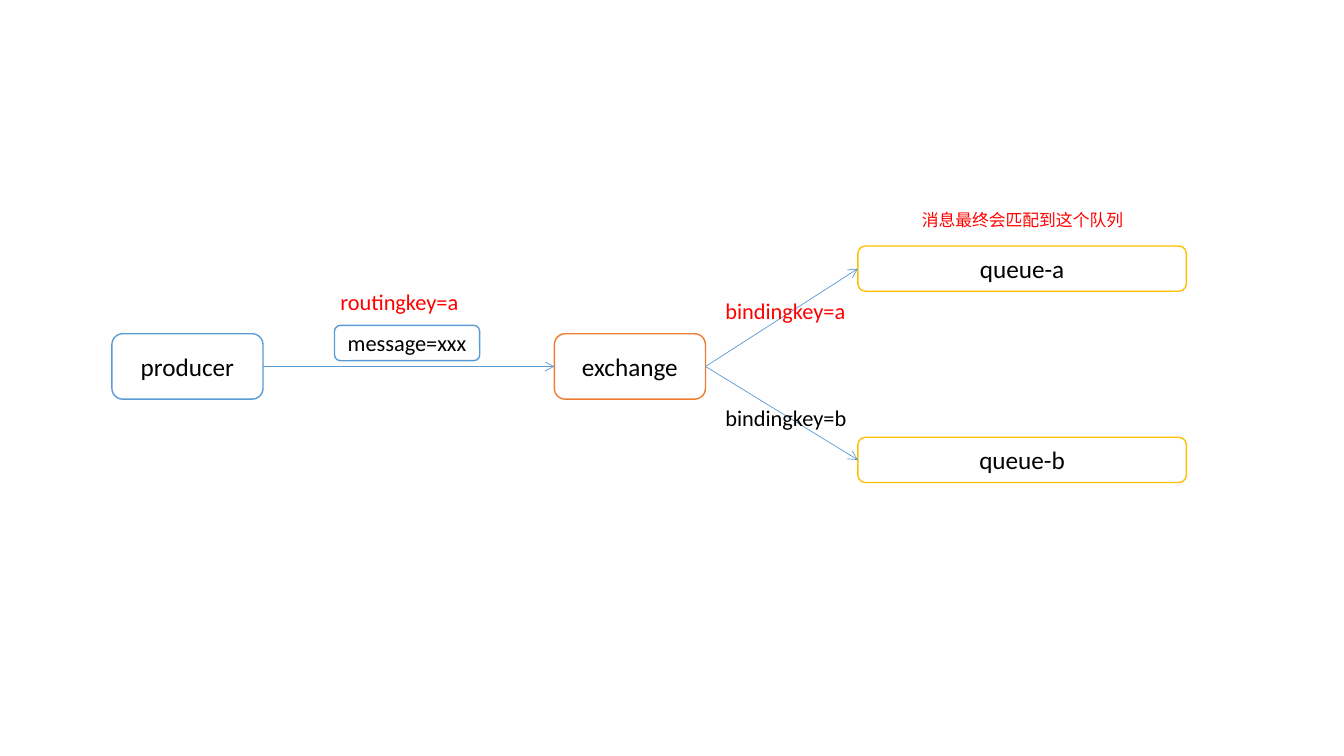
"""Build a slide showing how an exchange routes a message to a queue by key."""
from lxml.etree import SubElement
from pptx import Presentation
from pptx.dml.color import RGBColor
from pptx.enum.shapes import MSO_CONNECTOR as Connector, MSO_SHAPE as Shape
from pptx.enum.text import MSO_ANCHOR as Anchor, PP_ALIGN as Align
from pptx.oxml.ns import qn
from pptx.util import Cm, Pt

BLUE, ORANGE, GOLD = "5B9BD5", "ED7D31", "FFC000"
WHITE, BLACK, RED = "FFFFFF", "000000", "FF0000"
LEFT_SITE, RIGHT_SITE = 1, 3


def color(value):
    return RGBColor.from_string(value)


def write(box, text, size, ink, align):
    paragraph = box.text_frame.paragraphs[0]
    paragraph.alignment = align
    span = paragraph.add_run()
    span.text = text
    for name, value in {"name": "Calibri", "size": Pt(size)}.items():
        setattr(span.font, name, value)
    span.font.color.rgb = color(ink)


deck = Presentation()
deck.slide_width, deck.slide_height = Cm(33.87), Cm(19.05)
page = deck.slides.add_slide(deck.slide_layouts[6])

nodes = {}
for text, left, top, width, height, outline, size in [
    ("producer", 2.82, 8.41, 3.81, 1.65, BLUE, 18),
    ("exchange", 13.97, 8.41, 3.81, 1.65, ORANGE, 18),
    ("queue-a", 21.62, 6.2, 8.28, 1.14, GOLD, 18),
    ("queue-b", 21.62, 11.02, 8.28, 1.14, GOLD, 18),
    ("message=xxx", 8.43, 8.2, 3.66, 0.89, BLUE, 16),
]:
    box = page.shapes.add_shape(
        Shape.ROUNDED_RECTANGLE, Cm(left), Cm(top), Cm(width), Cm(height))
    box.shadow.inherit = False
    box.fill.solid()
    box.fill.fore_color.rgb = color(WHITE)
    box.line.color.rgb = color(outline)
    box.line.width = Pt(1)
    box.text_frame.vertical_anchor = Anchor.MIDDLE
    write(box, text, size, BLACK, Align.CENTER)
    nodes[text] = box

for source, target in [
    ("producer", "exchange"),
    ("exchange", "queue-a"),
    ("exchange", "queue-b"),
]:
    arrow = page.shapes.add_connector(Connector.STRAIGHT, 0, 0, 0, 0)
    arrow.begin_connect(nodes[source], RIGHT_SITE)
    arrow.end_connect(nodes[target], LEFT_SITE)
    arrow.line.color.rgb = color(BLUE)
    arrow.line.width = Pt(0.5)
    SubElement(arrow.line._get_or_add_ln(), qn("a:tailEnd"), type="arrow")
    SubElement(arrow._element.spPr, qn("a:effectLst"))

for text, left, top, width, height, size, ink, align in [
    ("routingkey=a", 8.33, 7.14, 3.94, 0.94, 16, RED, Align.LEFT),
    ("bindingkey=a", 18.03, 7.37, 3.94, 0.94, 16, RED, Align.LEFT),
    ("bindingkey=b", 18.03, 10.06, 3.94, 0.94, 16, BLACK, Align.LEFT),
    ("消息最终会匹配到这个队列", 22.61, 5.16, 6.32, 0.76, 12, RED, Align.CENTER),
]:
    label = page.shapes.add_textbox(Cm(left), Cm(top), Cm(width), Cm(height))
    label.text_frame.word_wrap = True
    write(label, text, size, ink, align)

deck.save("out.pptx")
